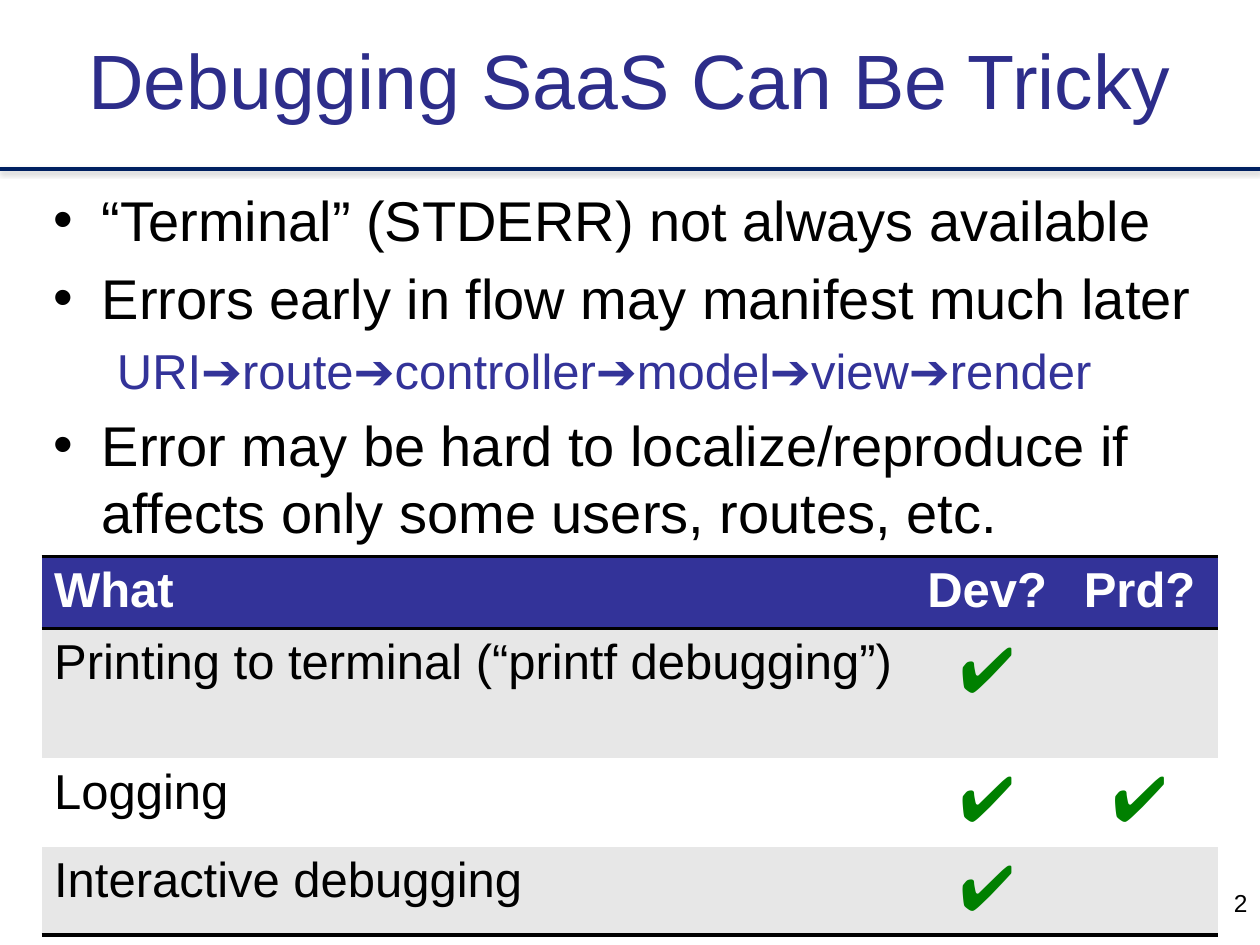
from lxml.etree import SubElement
from pptx import Presentation
from pptx.dml.color import RGBColor
from pptx.enum.shapes import MSO_CONNECTOR
from pptx.enum.text import MSO_ANCHOR, PP_ALIGN
from pptx.oxml import parse_xml
from pptx.oxml.ns import nsdecls, qn
from pptx.util import Inches, Pt

THEME = {
    "font": "Arial",
    "title": {"size": 44, "color": "2D2D8A"},
    "bullet": {"size": 32, "color": "000000"},
    "flow": {"size": 28, "color": "333399"},
    "header": {"size": 28, "color": "FFFFFF", "bold": True},
    "cell": {"size": 28, "color": "000000"},
    "check": {"size": 36, "color": "008000"},
    "number": {"size": 14, "color": "000000"},
    "header_fill": "333399",
    "band_fills": ("E7E7E7", "FFFFFF"),
    "rule": "002061",
    "border": "000000",
    "shadow": "808080",
}

TITLE = "Debugging SaaS Can Be Tricky"
NUMBER = "2"
BODY = [
    ("bullet", "“Terminal” (STDERR) not always available"),
    ("bullet", "Errors early in flow may manifest much later"),
    ("flow", "➔".join(["URI", "route", "controller", "model", "view", "render"])),
    ("bullet", "Error may be hard to localize/reproduce if affects only some users, routes, etc."),
]
INDENTS = {"bullet": (0.38, -0.38), "flow": (0.81, -0.31)}
TABLE = [
    ("What", "Dev?", "Prd?"),
    ("Printing to terminal (“printf debugging”)", "✔", ""),
    ("Logging", "✔", "✔"),
    ("Interactive debugging", "✔", ""),
]
COL_WIDTHS = (6.92, 1.17, 1.25)
ROW_HEIGHTS = (0.57, 1.03, 0.7, 0.7)
RULED_EDGES = (0, 1, len(TABLE))  # horizontal grid lines that are drawn


def write(p, text, style, align=PP_ALIGN.LEFT):
    p.alignment = align
    r = p.add_run()
    r.text = text
    fmt = THEME[style]
    values = {"name": THEME["font"], "size": Pt(fmt["size"]), "bold": fmt.get("bold", False)}
    for key, value in values.items():
        setattr(r.font, key, value)
    r.font.color.rgb = RGBColor.from_string(fmt["color"])


def add_box(s, left, top, width, height, anchor=MSO_ANCHOR.TOP):
    tf = s.shapes.add_textbox(*map(Inches, (left, top, width, height))).text_frame
    tf.word_wrap = True
    tf.vertical_anchor = anchor
    return tf


def add_rule(s, y):
    line = s.shapes.add_connector(MSO_CONNECTOR.STRAIGHT, 0, Inches(y), Inches(10), Inches(y))
    line.line.color.rgb = RGBColor.from_string(THEME["rule"])
    line.line.width = Pt(2)
    line._element.spPr.append(parse_xml(
        f'<a:effectLst {nsdecls("a")}><a:outerShdw blurRad="{Pt(3.1)}" dist="{Pt(1.6)}" '
        f'dir="5400000" rotWithShape="0"><a:srgbClr val="{THEME["shadow"]}">'
        '<a:alpha val="38000"/></a:srgbClr></a:outerShdw></a:effectLst>'))


def add_body(s):
    tf = add_box(s, 0.33, 1.42, 9.33, 5.2)
    for i, (style, text) in enumerate(BODY):
        p = tf.paragraphs[0] if i == 0 else tf.add_paragraph()
        write(p, text, style)
        p.space_before = Pt(0.2 * THEME[style]["size"])
        pPr = p._p.get_or_add_pPr()
        for key, value in zip(("marL", "indent"), INDENTS[style]):
            pPr.set(key, str(Inches(value)))
        if style == "bullet":
            SubElement(pPr, qn("a:buFont"), typeface=THEME["font"])
            SubElement(pPr, qn("a:buChar"), char="•")


def set_borders(cell, row):
    """Rule the cell's top and bottom where wanted and clear its other edges."""
    ruled = {"T": row in RULED_EDGES, "B": row + 1 in RULED_EDGES}
    for i, side in enumerate("LRTB"):
        paint = "<a:noFill/>"
        if ruled.get(side):
            paint = f'<a:solidFill><a:srgbClr val="{THEME["border"]}"/></a:solidFill>'
        cell._tc.get_or_add_tcPr().insert(i, parse_xml(
            f'<a:ln{side} {nsdecls("a")} w="{Pt(2)}">{paint}</a:ln{side}>'))


def add_debug_table(s):
    size = (sum(COL_WIDTHS), sum(ROW_HEIGHTS))
    frame = s.shapes.add_table(len(TABLE), len(COL_WIDTHS), *map(Inches, (0.33, 4.42, *size)))
    table = frame.table
    table.horz_banding = False
    for column, width in zip(table.columns, COL_WIDTHS):
        column.width = Inches(width)
    for i, (texts, height) in enumerate(zip(TABLE, ROW_HEIGHTS)):
        table.rows[i].height = Inches(height)
        fill = THEME["band_fills"][(i - 1) % 2] if i else THEME["header_fill"]
        for j, text in enumerate(texts):
            cell = table.cell(i, j)
            cell.fill.solid()
            cell.fill.fore_color.rgb = RGBColor.from_string(fill)
            set_borders(cell, i)
            if text:
                style = "header" if i == 0 else "check" if j else "cell"
                align = PP_ALIGN.CENTER if j else PP_ALIGN.LEFT
                write(cell.text_frame.paragraphs[0], text, style, align)


def main():
    prs = Presentation()
    prs.slide_width, prs.slide_height = Inches(10), Inches(7.5)
    s = prs.slides.add_slide(prs.slide_layouts[6])
    add_rule(s, 1.34)
    title = add_box(s, 0, 0, 10, 1.25, MSO_ANCHOR.MIDDLE)
    write(title.paragraphs[0], TITLE, "title", PP_ALIGN.CENTER)
    add_body(s)
    add_debug_table(s)
    number = add_box(s, 7.67, 7, 2.33, 0.5)
    write(number.paragraphs[0], NUMBER, "number", PP_ALIGN.RIGHT)
    prs.save("out.pptx")


if __name__ == "__main__":
    main()
